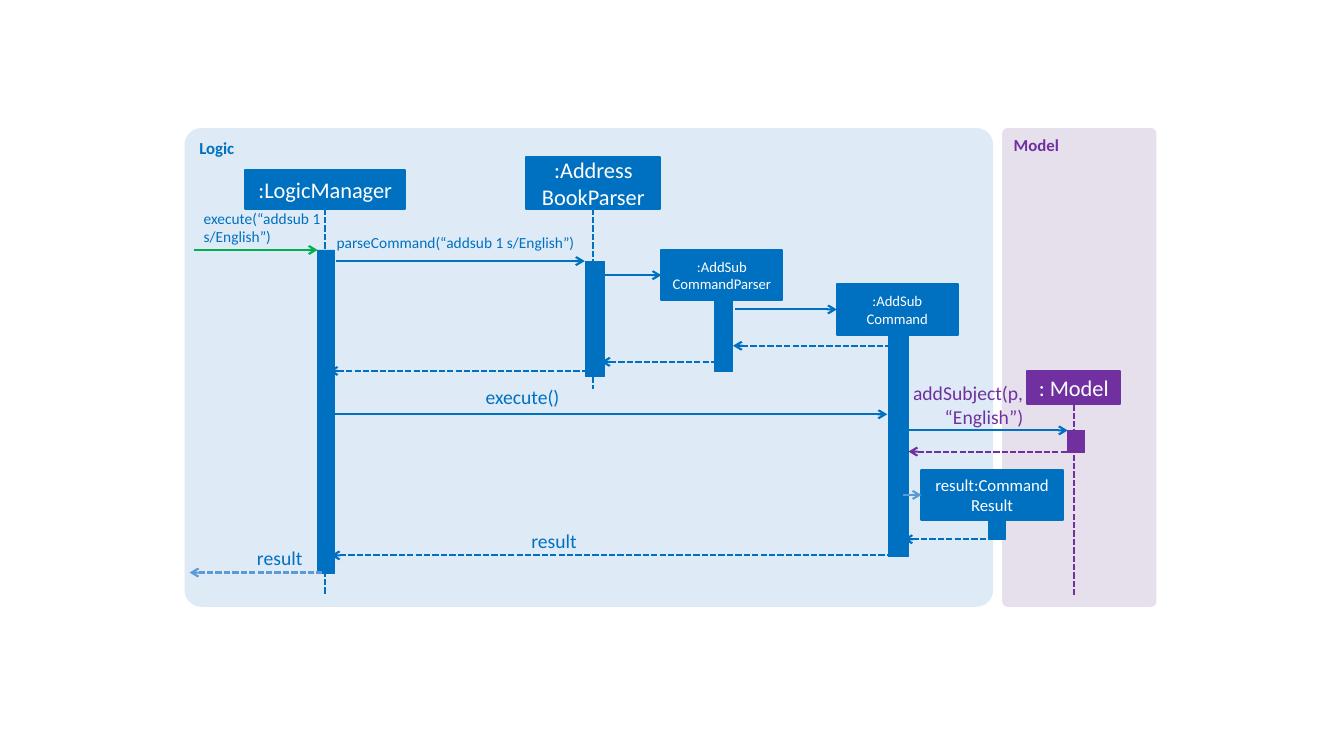
"""Build a sequence diagram slide for the addsub command across Logic and Model."""
from lxml.etree import SubElement
from pptx import Presentation
from pptx.dml.color import RGBColor
from pptx.enum.dml import MSO_LINE as Dash
from pptx.enum.shapes import MSO_CONNECTOR as Connector, MSO_SHAPE as Preset
from pptx.enum.text import MSO_ANCHOR as Anchor, MSO_AUTO_SIZE as AutoSize, PP_ALIGN as Align
from pptx.oxml.ns import qn
from pptx.util import Inches, Pt

BLUE = RGBColor(0x00, 0x70, 0xC0)
LIGHT_BLUE = RGBColor(0x5B, 0x9B, 0xD5)
GREEN = RGBColor(0x00, 0xB0, 0x50)
PURPLE = RGBColor(0x70, 0x30, 0xA0)
WHITE = RGBColor(0xFF, 0xFF, 0xFF)
LOGIC_FILL = RGBColor(0xDE, 0xEB, 0xF7)
MODEL_FILL = RGBColor(0xE6, 0xE0, 0xEC)
LEFT, BOTTOM = 1, 2


class SequenceDiagram:
    font = "Calibri"
    cell = Inches(0.1)
    stroke = Pt(1.5)
    bar_stroke = Pt(0.5)

    def __init__(self, slide):
        self.slide = slide

    def grid(self, *cells):
        return [round(count * self.cell) for count in cells]

    def add_lines(self, frame, lines, size, color, align, bold=None):
        frame.word_wrap = True
        for index, line in enumerate(lines.split("\n")):
            paragraph = frame.add_paragraph() if index else frame.paragraphs[0]
            paragraph.alignment = align
            run = paragraph.add_run()
            run.text = line
            run.font.name = self.font
            run.font.size = Pt(size)
            run.font.bold = bold
            run.font.color.rgb = color

    def block(self, preset, place, fill, stroke=None):
        shape = self.slide.shapes.add_shape(preset, *self.grid(*place))
        shape.shadow.inherit = False
        shape.fill.solid()
        shape.fill.fore_color.rgb = fill
        if stroke is None:
            shape.line.fill.background()
        else:
            shape.line.color.rgb = fill
            shape.line.width = stroke
        return shape

    def panel(self, title, column, width, fill, color):
        shape = self.block(Preset.ROUNDED_RECTANGLE, (column, 12.7, width, 47.5), fill)
        shape.adjustments[0] = 0.035
        shape.text_frame.vertical_anchor = Anchor.TOP
        self.add_lines(shape.text_frame, title, 12, color, Align.LEFT, True)

    def participant(self, name, place, size=16, color=BLUE):
        shape = self.block(Preset.RECTANGLE, place, color, self.stroke)
        shape.text_frame.vertical_anchor = Anchor.MIDDLE
        self.add_lines(shape.text_frame, name, size, WHITE, Align.CENTER)
        return shape

    def activation(self, *place, color=BLUE):
        return self.block(Preset.RECTANGLE, place, color, self.bar_stroke)

    def line(self, start, end, color, dashed=False, arrow=None):
        connector = self.slide.shapes.add_connector(
            Connector.STRAIGHT, *self.grid(*start, *end))
        connector.line.color.rgb = color
        connector.line.width = self.stroke
        if dashed:
            connector.line.dash_style = Dash.SQUARE_DOT
        properties = connector._element.spPr
        if arrow:
            SubElement(properties.find(qn("a:ln")), qn(arrow), type="arrow")
        SubElement(properties, qn("a:effectLst"))
        return connector

    def lifeline(self, participant, column, rows, color=BLUE):
        top, bottom = rows
        line = self.line((column, top), (column, bottom), color, dashed=True)
        line.begin_connect(participant, BOTTOM)

    def call(self, left, right, row, color=BLUE, target=None):
        line = self.line((left, row), (right, row), color, arrow="a:tailEnd")
        if target is not None:
            line.end_connect(target, LEFT)

    def reply(self, left, right, row, color=BLUE):
        self.line((left, row), (right, row), color, dashed=True, arrow="a:headEnd")

    def label(self, text, place, size=14, color=BLUE, align=Align.RIGHT):
        frame = self.slide.shapes.add_textbox(*self.grid(*place)).text_frame
        frame.margin_left = frame.margin_right = frame.margin_top = frame.margin_bottom = 0
        frame.auto_size = AutoSize.SHAPE_TO_FIT_TEXT
        self.add_lines(frame, text, size, color, align)


def main():
    presentation = Presentation()
    presentation.slide_width, presentation.slide_height = Inches(13.33), Inches(7.5)
    diagram = SequenceDiagram(presentation.slides.add_slide(presentation.slide_layouts[6]))

    diagram.panel("Model", 99.4, 15.3, MODEL_FILL, PURPLE)
    diagram.panel("Logic", 18.3, 80.2, LOGIC_FILL, BLUE)

    manager = diagram.participant(":LogicManager", (24.3, 16.9, 15.9, 3.8))
    book_parser = diagram.participant(":Address\nBookParser", (52.2, 15.6, 13.3, 5.1))
    model = diagram.participant(": Model", (101.9, 36.8, 9.2, 3.3), color=PURPLE)
    diagram.lifeline(manager, 32.25, (20.7, 59))
    diagram.lifeline(book_parser, 58.85, (20.7, 38.6))
    diagram.lifeline(model, 106.5, (40.1, 59), PURPLE)

    diagram.activation(31.5, 24.8, 1.7, 32.1)
    diagram.activation(58.1, 25.9, 1.8, 11.4)
    diagram.activation(70.9, 28.6, 1.7, 8.2)
    diagram.activation(88.1, 32.6, 2, 22.6)
    diagram.activation(105.9, 42.7, 1.7, 2.2, color=PURPLE)
    diagram.activation(98, 51.6, 1.7, 1.9)

    command_parser = diagram.participant(":AddSub\nCommandParser", (65.6, 24.8, 12, 5), 10.5)
    command = diagram.participant(":AddSub\nCommand", (83, 28.2, 12, 5), 10.5)
    result = diagram.participant("result:Command Result", (91.4, 46.6, 14, 5), 12)

    diagram.call(19.2, 31.5, 24.8, GREEN)
    diagram.call(33.3, 58, 25.9)
    diagram.call(59.2, 65.6, 27.3, target=command_parser)
    diagram.call(72.9, 83, 30.7, target=command)
    diagram.call(32.8, 88, 41.1)
    diagram.call(89.5, 105.9, 42.7)
    diagram.call(89.6, 91.4, 49.1, LIGHT_BLUE, result)

    diagram.reply(72.7, 88.1, 34.3)
    diagram.reply(59.6, 71.4, 35.9)
    diagram.reply(32.6, 58.3, 36.8)
    diagram.reply(90.1, 105.9, 44.8, PURPLE)
    diagram.reply(89.6, 98, 53.5)
    diagram.reply(32.8, 88, 55.1)
    diagram.reply(18.8, 31.9, 56.8, LIGHT_BLUE)

    diagram.label("execute(“addsub 1 s/English”)", (20.2, 20.7, 13.1, 3.7), 11, align=Align.LEFT)
    diagram.label("parseCommand(“addsub 1 s/English”)", (32.6, 23.1, 24.4, 1.9), 11)
    diagram.label("execute()", (46.1, 38.2, 9.4, 2.4))
    diagram.label("addSubject(p, “English”)", (85.9, 37.8, 15.6, 4.7), color=PURPLE)
    diagram.label("result", (50.4, 52.5, 6.8, 2.4))
    diagram.label("result", (21.7, 54.2, 8.3, 2.4))

    presentation.save("out.pptx")


if __name__ == "__main__":
    main()
